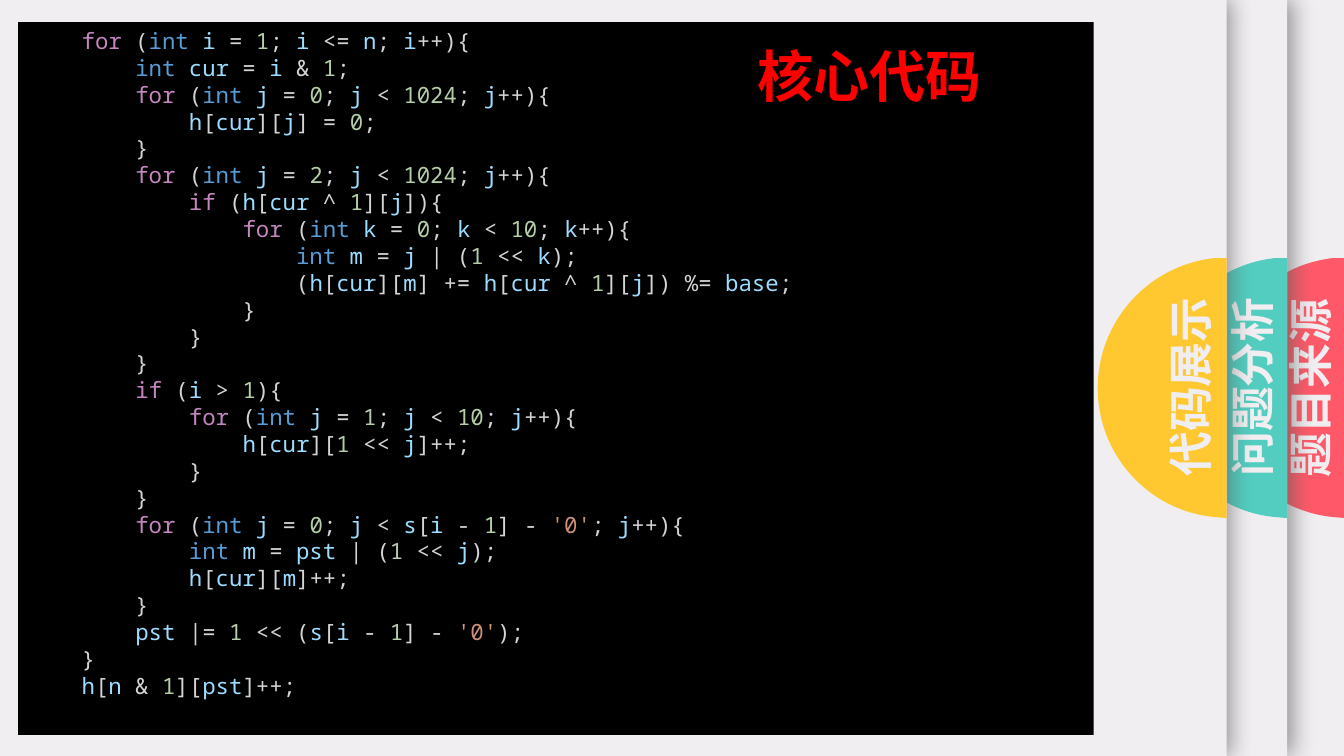
from dataclasses import dataclass
from itertools import groupby

from lxml.etree import SubElement
from pptx import Presentation
from pptx.dml.color import RGBColor
from pptx.enum.shapes import MSO_SHAPE as Preset
from pptx.enum.text import MSO_ANCHOR as Anchor
from pptx.enum.text import MSO_AUTO_SIZE as AutoSize
from pptx.enum.text import PP_ALIGN as Align
from pptx.oxml.ns import qn
from pptx.shapes.autoshape import Shape
from pptx.slide import Slide
from pptx.text.text import TextFrame
from pptx.util import Emu, Pt

PX = 9144  # EMU in one px, 100 px to the inch
SLIDE_WIDTH, SLIDE_HEIGHT = Emu(12192000), Emu(6858000)  # 16:9


@dataclass(frozen=True)
class Theme:
    paper: str = "F0EEF0"
    shadow: str = "595959"
    code_back: str = "000000"
    title: str = "FF0000"
    control: str = "C586C0"
    type_name: str = "569CD6"
    variable: str = "9CDCFE"
    number: str = "B5CEA8"
    string: str = "CE9178"
    mark: str = "D4D4D4"
    title_font: str = "Noto Sans CJK SC"
    tab_font: str = "Calibri"
    code_font: str = "Noto Sans Mono"
    title_size: int = 40
    tab_size: int = 32
    code_size: int = 16
    code_pitch: float = 19.19


@dataclass(frozen=True)
class Box:
    left: int
    top: int
    width: int
    height: int

    def emu(self) -> tuple[Emu, Emu, Emu, Emu]:
        return px(self.left), px(self.top), px(self.width), px(self.height)


@dataclass(frozen=True)
class Tab:
    """A sheet with a coloured half disc at its right edge."""
    label: str
    color: str
    sheet: Box
    label_box: Box


THEME = Theme()
TITLE = Box(535, 36, 655, 77)
CODE_PANEL = Box(18, 22, 1067, 707)
DISC_WIDTH, DISC_TOP = 128, 256
# Half disc, measured from its own left top corner
DISC_CORNERS = [(128, 0), (128, 258), (116, 257), (0, 129), (116, 0)]
DISC_HANDLES = [[(51, 251), (0, 196)], [(0, 62), (51, 7)]]

TABS = [
    Tab("题目来源", "FF5969", Box(-30, 0, 1365, 750), Box(1190, 353, 218, 64)),
    Tab("问题分析", "52CDC0", Box(25, 0, 1252, 750), Box(1133, 352, 218, 64)),
    Tab("代码展示", "FFC730", Box(-12, 0, 1229, 750), Box(1071, 352, 218, 64)),
]

CODE = """\
    for (int i = 1; i <= n; i++){
        int cur = i & 1;
        for (int j = 0; j < 1024; j++){
            h[cur][j] = 0;
        }
        for (int j = 2; j < 1024; j++){
            if (h[cur ^ 1][j]){
                for (int k = 0; k < 10; k++){
                    int m = j | (1 << k);
                    (h[cur][m] += h[cur ^ 1][j]) %= base;
                }
            }
        }
        if (i > 1){
            for (int j = 1; j < 10; j++){
                h[cur][1 << j]++;
            }
        }
        for (int j = 0; j < s[i - 1] - '0'; j++){
            int m = pst | (1 << j);
            h[cur][m]++;
        }
        pst |= 1 << (s[i - 1] - '0');
    }
    h[n & 1][pst]++;"""


def px(length: int) -> Emu:
    return Emu(length * PX)


def paint(shape: Shape, color: str) -> None:
    """Give a flat fill with neither line nor shadow."""
    shape.shadow.inherit = False
    shape.fill.solid()
    shape.fill.fore_color.rgb = RGBColor.from_string(color)
    shape.line.fill.background()


def add_sheet_shadow(sheet: Shape) -> None:
    effects = sheet._element.spPr.find(qn("a:effectLst"))
    shadow = SubElement(effects, qn("a:outerShdw"), blurRad=str(Pt(17)),
                        dist=str(Pt(3)), dir="0", algn="l", rotWithShape="0")
    color = SubElement(shadow, qn("a:srgbClr"), val=THEME.shadow)
    SubElement(color, qn("a:alpha"), val="65000")


def set_heading(frame: TextFrame, text: str, font: str, size: int, color: str) -> None:
    """Write one bold centred line."""
    frame.text = text
    frame.word_wrap = True
    frame.auto_size = AutoSize.NONE
    frame.vertical_anchor = Anchor.MIDDLE
    para = frame.paragraphs[0]
    para.alignment = Align.CENTER
    style = para.runs[0].font
    style.name, style.size, style.bold = font, Pt(size), True
    style.color.rgb = RGBColor.from_string(color)


def bend_sides(disc: Shape) -> None:
    """Turn the last two straight sides into curves."""
    lines = list(disc._element.iter(qn("a:lnTo")))[-len(DISC_HANDLES):]
    for line, handles in zip(lines, DISC_HANDLES):
        route = line.getparent()
        curve = SubElement(route, qn("a:cubicBezTo"))
        for x, y in handles:
            SubElement(curve, qn("a:pt"), x=str(px(x)), y=str(px(y)))
        curve.extend(list(line))
        route.replace(line, curve)


def add_tab(page: Slide, tab: Tab) -> None:
    shapes = page.shapes.add_group_shape().shapes
    sheet = shapes.add_shape(Preset.RECTANGLE, *tab.sheet.emu())
    paint(sheet, THEME.paper)
    add_sheet_shadow(sheet)

    left = tab.sheet.left + tab.sheet.width - DISC_WIDTH
    corners = [(left + x, DISC_TOP + y) for x, y in DISC_CORNERS]
    outline = shapes.build_freeform(*map(px, corners[0]), scale=1.0)
    outline.add_line_segments([(px(x), px(y)) for x, y in corners[1:]], close=True)
    disc = outline.convert_to_shape()
    bend_sides(disc)
    paint(disc, tab.color)

    label = shapes.add_textbox(*tab.label_box.emu())
    label.rotation = 270
    set_heading(label.text_frame, tab.label, THEME.tab_font, THEME.tab_size, THEME.paper)


def is_word_letter(letter: str) -> bool:
    return letter.isalnum() or letter == "'"


def split_tokens(line: str) -> list[str]:
    """Part words from marks; a type name keeps the space after it."""
    tokens: list[str] = []
    for _, letters in groupby(line, is_word_letter):
        token = "".join(letters)
        if tokens and (tokens[-1] == "int" or (token == "for" and tokens == ["    "])):
            tokens[-1] += token
        else:
            tokens.append(token)
    return tokens


def token_color(token: str) -> str:
    word = token.strip()
    if word in ("for", "if"):
        return THEME.control
    if word == "int":
        return THEME.type_name
    if word.isdigit():
        return THEME.number
    if word.startswith("'"):
        return THEME.string
    return THEME.variable if word.isalnum() else THEME.mark


def add_code(page: Slide) -> None:
    panel = page.shapes.add_shape(Preset.RECTANGLE, *CODE_PANEL.emu())
    paint(panel, THEME.code_back)
    frame = panel.text_frame
    frame.word_wrap = True
    frame.vertical_anchor = Anchor.TOP
    for number, line in enumerate(CODE.split("\n")):
        para = frame.add_paragraph() if number else frame.paragraphs[0]
        para.alignment = Align.LEFT
        para.line_spacing = Pt(THEME.code_pitch)
        for token in split_tokens(line):
            span = para.add_run()
            span.text = token
            span.font.name, span.font.size = THEME.code_font, Pt(THEME.code_size)
            span.font.color.rgb = RGBColor.from_string(token_color(token))


def add_title(page: Slide) -> None:
    title = page.shapes.title
    title.left, title.top, title.width, title.height = TITLE.emu()
    set_heading(title.text_frame, "核心代码", THEME.title_font, THEME.title_size, THEME.title)
    span = title.text_frame.paragraphs[0].runs[0]
    SubElement(span.font._element, qn("a:ea"), typeface=THEME.title_font)
    page.shapes._spTree.append(title._element)  # bring to front


def main() -> None:
    deck = Presentation()
    deck.slide_width, deck.slide_height = SLIDE_WIDTH, SLIDE_HEIGHT
    page = deck.slides.add_slide(deck.slide_layouts[5])
    for tab in TABS:
        add_tab(page, tab)
    add_code(page)
    add_title(page)
    deck.save("out.pptx")


if __name__ == "__main__":
    main()
